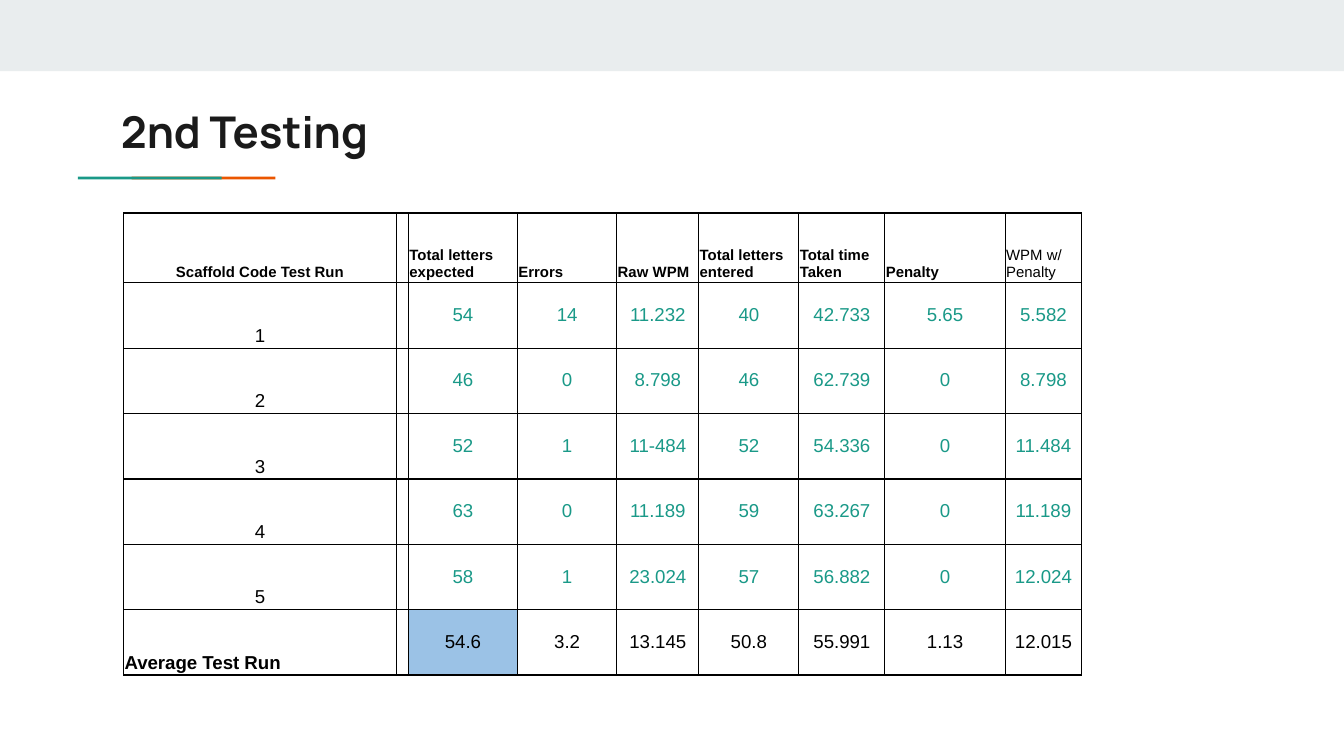
from dataclasses import dataclass

from lxml.etree import SubElement
from pptx import Presentation
from pptx.dml.color import RGBColor
from pptx.enum.shapes import MSO_SHAPE
from pptx.enum.text import MSO_ANCHOR, MSO_AUTO_SIZE, PP_ALIGN
from pptx.oxml.ns import qn
from pptx.slide import Slide
from pptx.table import _Cell
from pptx.util import Emu, Inches, Pt


@dataclass(frozen=True)
class Theme:
    band: str = "E9EDEE"
    teal: str = "1A9988"
    orange: str = "EB5600"
    ink: str = "1A1A1A"
    black: str = "000000"
    highlight: str = "9BC2E6"
    title_font: str = "Manrope"
    table_font: str = "Arial"
    title_size: float = 23.4
    header_size: float = 8
    cell_size: float = 10
    thin: float = 0.75
    thick: float = 1.5


@dataclass(frozen=True)
class Box:
    col: float
    row: float
    cols: float
    rows: float

    def emu(self) -> tuple[Emu, ...]:
        return tuple(grid(n) for n in (self.col, self.row, self.cols, self.rows))


@dataclass(frozen=True)
class Bar:
    box: Box
    color: str


@dataclass(frozen=True)
class Style:
    size: float
    color: str
    bold: bool
    align: PP_ALIGN
    anchor: MSO_ANCHOR


THEME = Theme()
GRID_COLS, GRID_ROWS = 1000, 562.5
SLIDE_WIDTH = Inches(10)

BARS = [
    Bar(Box(0, 0, GRID_COLS, 53), THEME.band),
    Bar(Box(98, 131.5, 107, 2), THEME.orange),
    Bar(Box(58, 131.5, 107, 2), THEME.teal),
]
TITLE_BOX = Box(80, 68, 841, 59)
COLUMNS = [203, 9, 81, 74, 61, 74.5, 64, 89.5, 57]
ROWS = [52] + [48.7] * 6
TABLE_BOX = Box(92, 158.5, sum(COLUMNS), sum(ROWS))

DATA = [
    ["Scaffold Code Test Run", "", "Total letters expected", "Errors", "Raw WPM",
     "Total letters entered", "Total time Taken", "Penalty", "WPM w/ Penalty"],
    ["1", "", "54", "14", "11.232", "40", "42.733", "5.65", "5.582"],
    ["2", "", "46", "0", "8.798", "46", "62.739", "0", "8.798"],
    ["3", "", "52", "1", "11-484", "52", "54.336", "0", "11.484"],
    ["4", "", "63", "0", "11.189", "59", "63.267", "0", "11.189"],
    ["5", "", "58", "1", "23.024", "57", "56.882", "0", "12.024"],
    ["Average Test Run", "", "54.6", "3.2", "13.145", "50.8", "55.991", "1.13", "12.015"],
]
LAST_ROW, LAST_COL = len(ROWS) - 1, len(COLUMNS) - 1
HIGHLIGHTED = (LAST_ROW, 2)


def grid(units: float) -> Emu:
    return Emu(round(SLIDE_WIDTH * units / GRID_COLS))


def rgb(color: str) -> RGBColor:
    return RGBColor.from_string(color)


def draw_bar(s: Slide, bar: Bar) -> None:
    sp = s.shapes.add_shape(MSO_SHAPE.RECTANGLE, *bar.box.emu())
    sp.shadow.inherit = False
    sp.fill.solid()
    sp.fill.fore_color.rgb = rgb(bar.color)
    sp.line.fill.background()


def add_run(p, text: str, font: str, size: float, color: str, bold: bool) -> None:
    r = p.add_run()
    r.text = text
    r.font.name = font
    r.font.size = Pt(size)
    r.font.bold = bold
    r.font.color.rgb = rgb(color)


def draw_title(s: Slide, text: str) -> None:
    sp = s.shapes.title
    sp.left, sp.top, sp.width, sp.height = TITLE_BOX.emu()
    tf = sp.text_frame
    tf.word_wrap = True
    tf.auto_size = MSO_AUTO_SIZE.NONE
    tf.vertical_anchor = MSO_ANCHOR.MIDDLE
    tf.margin_left = tf.margin_right = tf.margin_top = tf.margin_bottom = grid(10)
    p = tf.paragraphs[0]
    p.alignment = PP_ALIGN.LEFT
    add_run(p, text, THEME.title_font, THEME.title_size, THEME.ink, True)


def cell_style(row: int, col: int) -> Style:
    if row == 0:
        align = PP_ALIGN.LEFT if col else PP_ALIGN.CENTER
        return Style(THEME.header_size, THEME.black, col != LAST_COL, align, MSO_ANCHOR.BOTTOM)
    average = row == LAST_ROW
    if col == 0:
        align = PP_ALIGN.LEFT if average else PP_ALIGN.CENTER
        return Style(THEME.cell_size, THEME.black, average, align, MSO_ANCHOR.BOTTOM)
    color = THEME.black if average else THEME.teal
    return Style(THEME.cell_size, color, False, PP_ALIGN.CENTER, MSO_ANCHOR.MIDDLE)


def set_borders(cell: _Cell, bottom: float) -> None:
    tc_pr = cell._tc.get_or_add_tcPr()
    widths = {"lnL": THEME.thin, "lnR": THEME.thin, "lnT": THEME.thin, "lnB": bottom}
    for i, (tag, width) in enumerate(widths.items()):
        ln = SubElement(tc_pr, qn(f"a:{tag}"), w=str(Pt(width)))
        fill = SubElement(ln, qn("a:solidFill"))
        SubElement(fill, qn("a:srgbClr"), val=THEME.black)
        tc_pr.insert(i, ln)


def draw_cell(cell: _Cell, text: str, row: int, col: int) -> None:
    style = cell_style(row, col)
    cell.margin_left = cell.margin_right = cell.margin_top = grid(0.7)
    cell.margin_bottom = grid(1.5)
    cell.vertical_anchor = style.anchor
    if (row, col) == HIGHLIGHTED:
        cell.fill.solid()
        cell.fill.fore_color.rgb = rgb(THEME.highlight)
    else:
        cell.fill.background()
    set_borders(cell, THEME.thick if row == LAST_ROW else THEME.thin)
    p = cell.text_frame.paragraphs[0]
    p.alignment = style.align
    p.font.size = Pt(style.size)
    if text:
        add_run(p, text, THEME.table_font, style.size, style.color, style.bold)


def draw_table(s: Slide) -> None:
    table = s.shapes.add_table(len(ROWS), len(COLUMNS), *TABLE_BOX.emu()).table
    table.first_row = table.horz_banding = False
    for column, width in zip(table.columns, COLUMNS):
        column.width = grid(width)
    for row, height in zip(table.rows, ROWS):
        row.height = grid(height)
    for i, values in enumerate(DATA):
        for j, text in enumerate(values):
            draw_cell(table.cell(i, j), text, i, j)


def main() -> None:
    prs = Presentation()
    prs.slide_width, prs.slide_height = SLIDE_WIDTH, grid(GRID_ROWS)
    s = prs.slides.add_slide(prs.slide_layouts[5])
    for bar in BARS:
        draw_bar(s, bar)
    draw_title(s, "2nd Testing")
    draw_table(s)
    prs.save("out.pptx")


if __name__ == "__main__":
    main()
